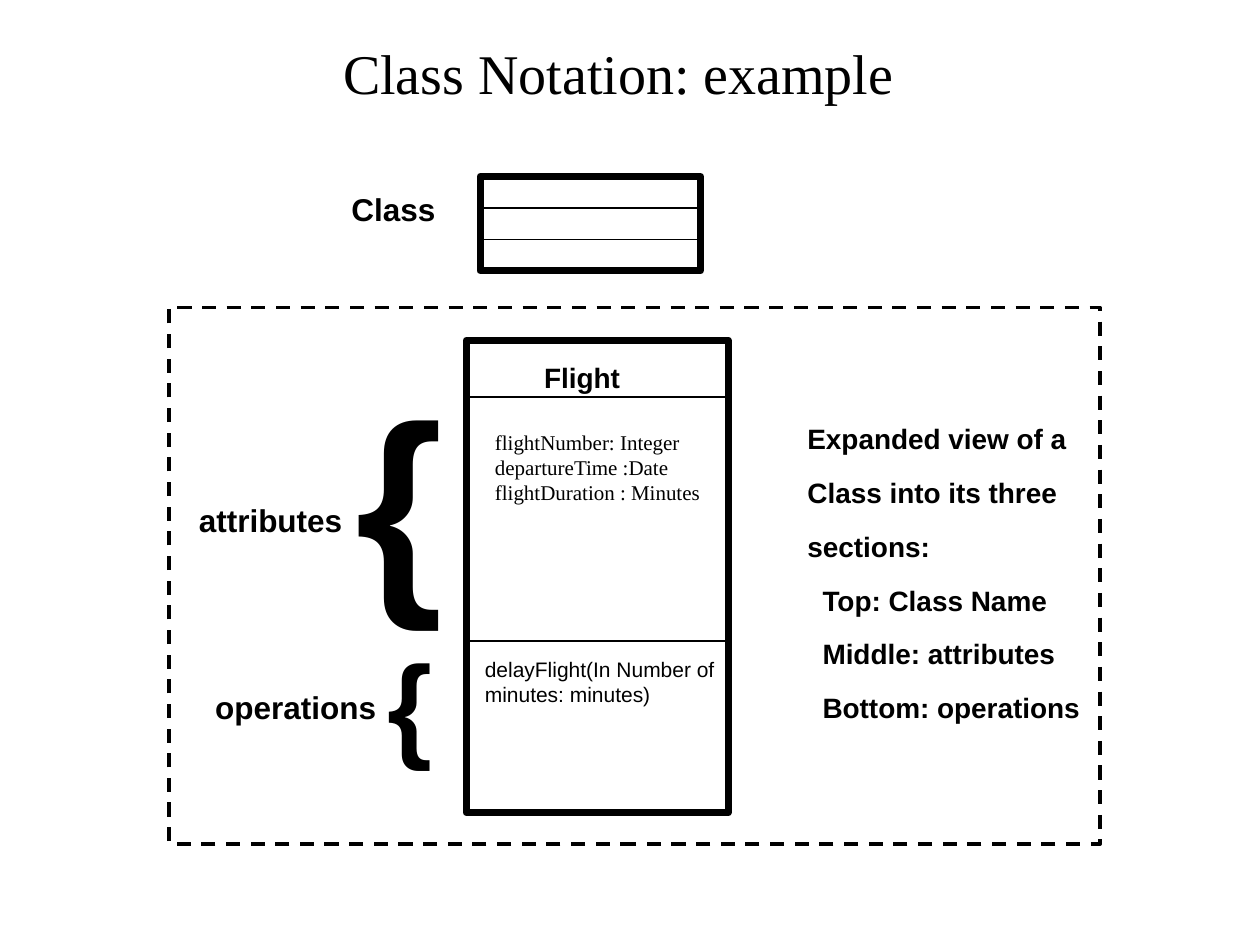
from pptx import Presentation
from pptx.dml.color import RGBColor
from pptx.enum.dml import MSO_LINE
from pptx.enum.shapes import MSO_CONNECTOR, MSO_SHAPE
from pptx.enum.text import MSO_ANCHOR, MSO_AUTO_SIZE, PP_ALIGN
from pptx.oxml.ns import qn
from pptx.util import Inches, Pt
from lxml import etree

RECT = MSO_SHAPE.RECTANGLE
LINE = MSO_CONNECTOR.STRAIGHT
DASH = MSO_LINE.DASH
GROW = MSO_AUTO_SIZE.SHAPE_TO_FIT_TEXT
FIXED = MSO_AUTO_SIZE.NONE
MIDDLE = MSO_ANCHOR.MIDDLE
CENTER = PP_ALIGN.CENTER
COLS, ROWS = 100, 75


def color(code):
    return RGBColor.from_string(code)


class Sheet:
    ink, paper = "000000", "FFFFFF"
    sans, serif = "Arial", "Times New Roman"

    def __init__(self, deck):
        self.col = deck.slide_width / COLS
        self.row = deck.slide_height / ROWS
        self.slide = deck.slides.add_slide(deck.slide_layouts[5])
        self.shapes = self.slide.shapes

    def place(self, x, y, w, h):
        return (round(x * self.col), round(y * self.row),
                round(w * self.col), round(h * self.row))

    def style(self, par, size, font, bold=False):
        par.font.size = Pt(size)
        par.font.name = font
        par.font.bold = bold
        par.font.color.rgb = color(self.ink)

    def title(self, text, area, size):
        head = self.shapes.title
        head.left, head.top, head.width, head.height = self.place(*area)
        frame = head.text_frame
        frame.text = text
        frame.auto_size = FIXED
        frame.vertical_anchor = MIDDLE
        par = frame.paragraphs[0]
        par.alignment = CENTER
        self.style(par, size, self.serif)

    def text(self, lines, area, size, font=sans, bold=True, wrap=False,
             space=None, inset=()):
        frame = self.shapes.add_textbox(*self.place(*area)).text_frame
        frame.word_wrap = wrap
        frame.auto_size = GROW
        frame.text = "\n".join(lines)
        for num, par in enumerate(frame.paragraphs):
            if space:
                par.line_spacing = space
            if num in inset:
                props = par._p.get_or_add_pPr()
                props.set("marL", str(Inches(0.12)))
                props.set("indent", "0")
            self.style(par, size, font, bold)

    def box(self, area, width, dash=None):
        shape = self.shapes.add_shape(RECT, *self.place(*area))
        shape.shadow.inherit = False
        shape.fill.solid()
        shape.fill.fore_color.rgb = color(self.paper)
        shape.line.color.rgb = color(self.ink)
        shape.line.width = Pt(width)
        if dash:
            shape.line.dash_style = dash

    def rule(self, x, y, w):
        left, top, wide, _ = self.place(x, y, w, 0)
        line = self.shapes.add_connector(LINE, left, top, left + wide, top)
        line.line.color.rgb = color(self.ink)
        line.line.width = Pt(1)
        etree.SubElement(line._element.spPr, qn("a:effectLst"))

    def record(self, area, rules):
        self.box(area, 4)
        for y in rules:
            self.rule(area[0] + 0.2, y, area[2])


def main():
    deck = Presentation()
    deck.slide_width, deck.slide_height = Inches(10), Inches(7.5)
    sheet = Sheet(deck)
    sheet.title("Class Notation: example", (4.7, 2.3, 88.8, 6.9), 32)

    sheet.text(["Class"], (26.9, 14.6, 10.9, 5), 18)
    sheet.record((38.1, 14, 17.5, 7.5), (16.5, 19))

    sheet.box((13.4, 24.4, 73.9, 42.6), 2, DASH)
    sheet.record((37, 27, 20.8, 37.5), (31.5, 50.9))
    sheet.text(["Flight"], (42.2, 28.1, 8.1, 3.7), 16)
    sheet.text(["flightNumber: Integer", "departureTime :Date",
                "flightDuration : Minutes"],
               (38.3, 33.6, 20.3, 7.1), 12, sheet.serif, False, True)
    sheet.text(["delayFlight(In Number of minutes: minutes)"],
               (37.5, 51.6, 20.3, 5), 12, bold=False, wrap=True)

    sheet.text(["attributes"], (14.8, 39.3, 13.4, 4), 18)
    sheet.text(["operations"], (16.1, 54.1, 14.8, 4), 18)
    sheet.text(["{"], (27.2, 28, 9, 22.5), 129)
    sheet.text(["{"], (29.8, 49.7, 5.5, 12), 66)
    sheet.text(["Expanded view of a", "Class into its three", "sections:",
                "Top: Class Name", "Middle: attributes",
                "Bottom: operations"],
               (63.1, 31.4, 23.7, 26.6), 16, space=1.6, inset=(3, 4, 5))
    deck.save("out.pptx")


if __name__ == "__main__":
    main()
